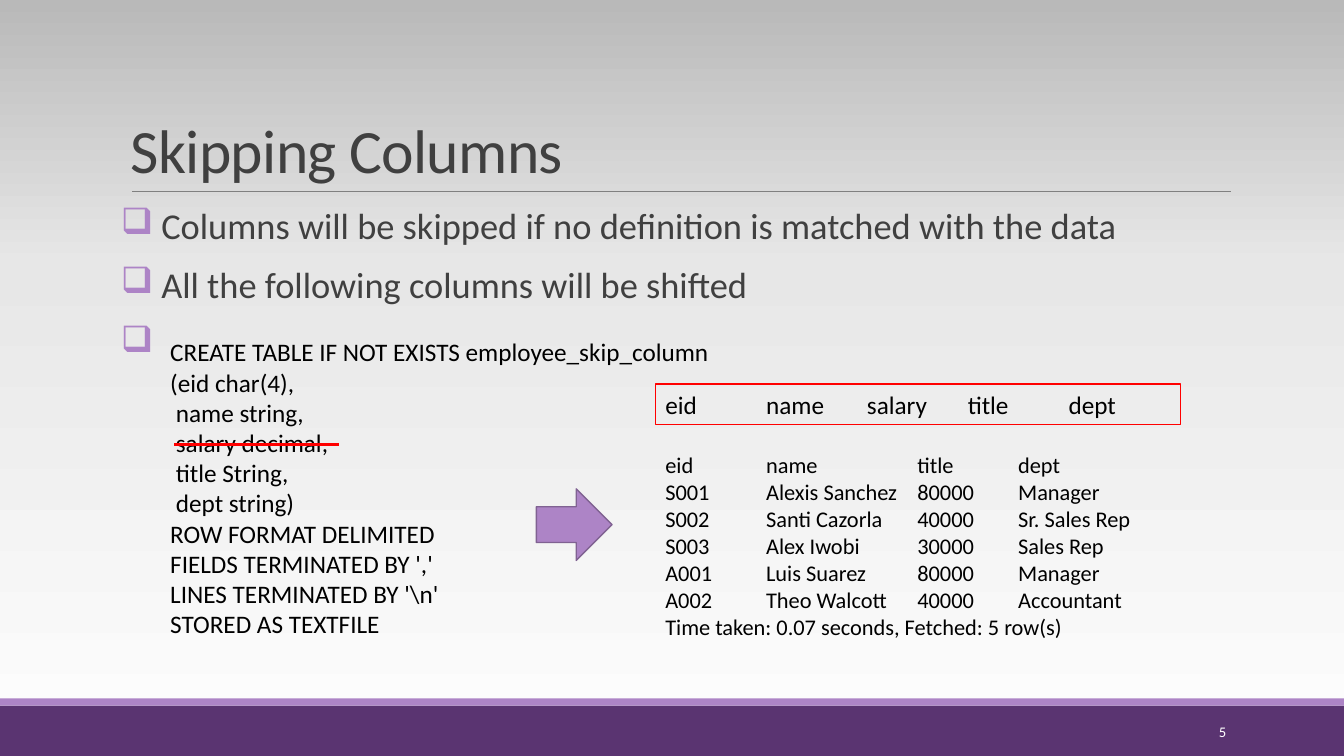
from copy import deepcopy

from lxml.etree import SubElement
from pptx import Presentation
from pptx.dml.color import RGBColor
from pptx.enum.shapes import MSO_CONNECTOR, MSO_SHAPE
from pptx.enum.text import MSO_ANCHOR, PP_ALIGN
from pptx.oxml.ns import qn
from pptx.util import Inches, Pt

SLIDE_WIDTH, SLIDE_HEIGHT = Inches(13.33), Inches(7.5)
COLUMNS, ROWS = 133.3, 75

PURPLE = RGBColor(0x5A, 0x34, 0x71)
LILAC = RGBColor(0xAD, 0x84, 0xC6)
ARROW_EDGE = RGBColor(0x80, 0x62, 0x92)
GRAY = RGBColor(0x80, 0x80, 0x80)
CHARCOAL = RGBColor(0x40, 0x40, 0x40)
BLACK = RGBColor(0, 0, 0)
WHITE = RGBColor(0xFF, 0xFF, 0xFF)
RED = RGBColor(0xFF, 0, 0)
BACKDROP = [
    (0, RGBColor(0xFE, 0xFE, 0xFE)),
    (0.65, RGBColor(0xE7, 0xE7, 0xE7)),
    (1, RGBColor(0xB9, 0xB9, 0xB9)),
]

BULLETS = [
    "Columns will be skipped if no definition is matched with the data",
    "All the following columns will be shifted",
    " ",
]
STATEMENT = [
    "CREATE TABLE IF NOT EXISTS employee_skip_column",
    "(eid char(4),",
    " name string,",
    " salary decimal,",
    " title String,",
    " dept string)",
    "ROW FORMAT DELIMITED",
    "FIELDS TERMINATED BY ','",
    "LINES TERMINATED BY '\\n'",
    "STORED AS TEXTFILE",
]
FILE_COLUMNS = ["eid", "name", "salary", "title", "dept"]
QUERY_ROWS = [
    ["eid", "name", "title", "dept"],
    ["S001", "Alexis Sanchez", "80000", "Manager"],
    ["S002", "Santi Cazorla", "40000", "Sr. Sales Rep"],
    ["S003", "Alex Iwobi", "30000", "Sales Rep"],
    ["A001", "Luis Suarez", "80000", "Manager"],
    ["A002", "Theo Walcott", "40000", "Accountant"],
    ["Time taken: 0.07 seconds, Fetched: 5 row(s)"],
]


def across(columns):
    return round(SLIDE_WIDTH * columns / COLUMNS)


def down(rows):
    return round(SLIDE_HEIGHT * rows / ROWS)


def area(left, top, width, height):
    return across(left), down(top), across(width), down(height)


def set_formats(target, formats):
    for name, value in formats.items():
        setattr(target, name, value)


def paint_background(slide):
    fill = slide.background.fill
    fill.gradient()
    fill.gradient_angle = 90
    stop_list = slide.element.find(".//" + qn("a:gsLst"))
    stop_list.append(deepcopy(stop_list[0]))
    for stop, (position, color) in zip(fill.gradient_stops, BACKDROP):
        stop.position = position
        stop.color.rgb = color


def add_block(slide, preset, place, fill=None, edge=None, edge_width=1):
    block = slide.shapes.add_shape(preset, *area(*place))
    block.shadow.inherit = False
    if fill is None:
        block.fill.background()
    else:
        block.fill.solid()
        block.fill.fore_color.rgb = fill
    if edge is None:
        block.line.fill.background()
    else:
        block.line.color.rgb = edge
        block.line.width = Pt(edge_width)
    return block


def add_rule(slide, left, right, row, color, width):
    rule = slide.shapes.add_connector(
        MSO_CONNECTOR.STRAIGHT, across(left), down(row), across(right), down(row))
    rule.line.color.rgb = color
    rule.line.width = Pt(width)
    SubElement(rule.element.spPr, qn("a:effectLst"))


def add_bullet(paragraph):
    properties = paragraph._p.get_or_add_pPr()
    properties.set("marL", str(across(4)))
    properties.set("indent", str(-across(4)))
    bullet_color = SubElement(properties, qn("a:buClr"))
    SubElement(bullet_color, qn("a:srgbClr"), val=str(LILAC))
    SubElement(properties, qn("a:buChar"), char="❑")


def add_tabs(paragraph, stops):
    tab_list = SubElement(paragraph._p.get_or_add_pPr(), qn("a:tabLst"))
    for stop in stops:
        SubElement(tab_list, qn("a:tab"), pos=str(across(stop)), algn="l")


def write_lines(frame, lines, size, color, layout=None, frame_formats=None,
                tabs=(), bulleted=False, spacing=None):
    set_formats(frame, {"word_wrap": True, **(frame_formats or {})})
    for index, line in enumerate(lines):
        paragraph = frame.add_paragraph() if index else frame.paragraphs[0]
        if bulleted:
            add_bullet(paragraph)
        if tabs:
            add_tabs(paragraph, tabs)
        set_formats(paragraph, {"alignment": PP_ALIGN.LEFT, **(layout or {})})
        if index == 0:
            paragraph.space_before = Pt(0)
        run = paragraph.add_run()
        run.text = line
        set_formats(run.font, {"name": "Calibri", "size": Pt(size)})
        run.font.color.rgb = color
        if spacing is not None:
            run.font._element.set("spc", str(spacing))


def add_text(slide, place, lines, size, color, **formats):
    box = slide.shapes.add_textbox(*area(*place))
    write_lines(box.text_frame, lines, size, color, **formats)


def main():
    presentation = Presentation()
    set_formats(presentation, {"slide_width": SLIDE_WIDTH, "slide_height": SLIDE_HEIGHT})
    slide = presentation.slides.add_slide(presentation.slide_layouts[6])
    paint_background(slide)

    add_block(slide, MSO_SHAPE.RECTANGLE, (0, 70, COLUMNS, 5), PURPLE)
    add_block(slide, MSO_SHAPE.RECTANGLE, (0, 69.3, COLUMNS, 0.7), LILAC)
    add_rule(slide, 13.1, 122.1, 19, GRAY, 0.5)
    add_text(slide, (12, 3.1, 110, 15.9), ["Skipping Columns"], 44, CHARCOAL,
             layout={"line_spacing": 0.85}, spacing=-50,
             frame_formats={"vertical_anchor": MSO_ANCHOR.BOTTOM})
    add_text(slide, (12, 20.2, 110, 44), BULLETS, 26, CHARCOAL, bulleted=True,
             layout={"line_spacing": 0.9, "space_before": Pt(12), "space_after": Pt(2)},
             frame_formats={"margin_left": 0, "margin_right": 0})
    add_text(slide, (108.3, 70.6, 14.3, 4), ["5"], 10.5, WHITE,
             layout={"alignment": PP_ALIGN.RIGHT},
             frame_formats={"vertical_anchor": MSO_ANCHOR.MIDDLE})

    add_text(slide, (65, 44.3, 51.1, 19.9), ["\t".join(row) for row in QUERY_ROWS],
             16, BLACK, tabs=(10, 25, 35))
    add_text(slide, (15.9, 32.9, 66.7, 31.3), STATEMENT, 18, BLACK)
    add_rule(slide, 17.3, 33.6, 44.1, RED, 2.25)
    add_block(slide, MSO_SHAPE.RIGHT_ARROW, (53.2, 48.5, 7.5, 7.1), LILAC, ARROW_EDGE)
    file_header = add_block(
        slide, MSO_SHAPE.RECTANGLE, (65, 38.1, 52.1, 4), edge=RED, edge_width=0.75)
    write_lines(file_header.text_frame, ["\t".join(FILE_COLUMNS)], 18, BLACK,
                tabs=(10, 20, 30, 40))

    presentation.save("out.pptx")


if __name__ == "__main__":
    main()
